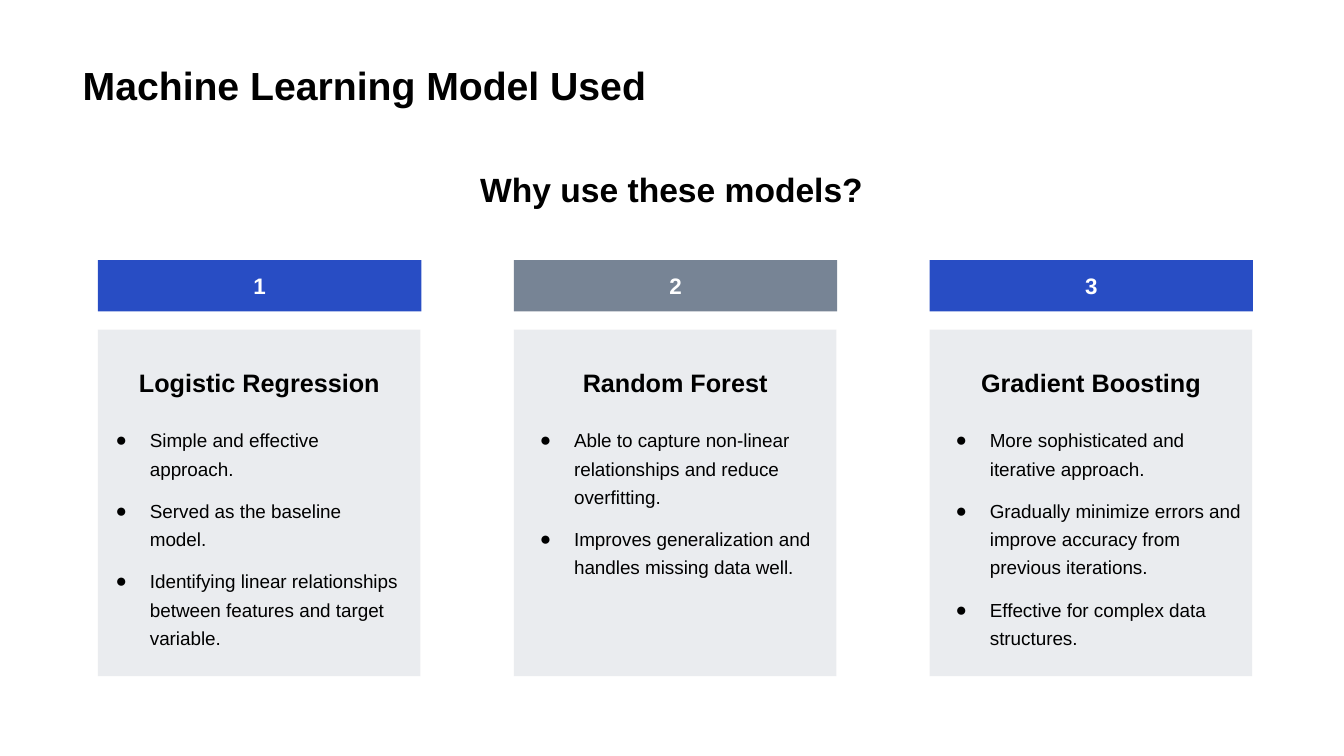
import pptx
import pptx.util
import pptx.dml.color
import pptx.enum.shapes
import pptx.enum.text
import pptx.oxml.ns
import lxml.etree

Pt = pptx.util.Pt
ALIGN = pptx.enum.text.PP_ALIGN
ANCHOR = pptx.enum.text.MSO_ANCHOR
qn = pptx.oxml.ns.qn

BLUE, GREY, BLACK, WHITE = "284DC4", "778495", "000000", "FFFFFF"


def rgb(value):
    return pptx.dml.color.RGBColor.from_string(value)


def apply(obj, formats):
    for name, value in formats.items():
        setattr(obj, name, value)


class Deck:
    font = "Arial"
    margins = {"margin_left": Pt(7.2), "margin_right": Pt(7.2),
               "margin_top": Pt(3.6), "margin_bottom": Pt(3.6)}

    def __init__(self, prs):
        self.s = prs.slides.add_slide(prs.slide_layouts[6])

    def fill_text(self, sp, lines, size, color=BLACK, bold=True, para=None, **frame):
        tf = sp.text_frame
        apply(tf, {"word_wrap": True, **self.margins, **frame})
        for i, line in enumerate(lines):
            p = tf.paragraphs[0] if i == 0 else tf.add_paragraph()
            apply(p, para or {})
            r = p.add_run()
            r.text = line
            apply(r.font, {"name": self.font, "size": Pt(size), "bold": bold})
            r.font.color.rgb = rgb(color)
        return tf

    def rect(self, x, y, w, h, fill, alpha=None):
        sp = self.s.shapes.add_shape(
            pptx.enum.shapes.MSO_SHAPE.RECTANGLE, Pt(x), Pt(y), Pt(w), Pt(h))
        sp.shadow.inherit = False
        sp.line.fill.background()
        sp.fill.solid()
        sp.fill.fore_color.rgb = rgb(fill)
        if alpha is not None:
            clr = sp._element.spPr.find(qn("a:solidFill")).find(qn("a:srgbClr"))
            lxml.etree.SubElement(clr, qn("a:alpha"), val=str(alpha * 1000))
        return sp

    def text(self, x, y, w, h, lines, size, **formats):
        sp = self.s.shapes.add_textbox(Pt(x), Pt(y), Pt(w), Pt(h))
        return self.fill_text(sp, lines, size, **formats)

    def bullets(self, x, y, w, h, lines, size):
        tf = self.text(x, y, w, h, lines, size, bold=False,
                       para={"line_spacing": 1.25})
        for i, p in enumerate(tf.paragraphs):
            if i:
                p.space_before = Pt(10)
            pPr = p._p.get_or_add_pPr()
            pPr.set("marL", str(Pt(36)))
            pPr.set("indent", str(Pt(-24.5)))
            clr = lxml.etree.SubElement(pPr, qn("a:buClr"))
            lxml.etree.SubElement(clr, qn("a:srgbClr"), val=BLACK)
            lxml.etree.SubElement(pPr, qn("a:buFont"), typeface=self.font)
            lxml.etree.SubElement(pPr, qn("a:buChar"), char="●")


# Heading, bar colour, shift of the list from the card, reasons
MODELS = [
    ("Logistic Regression", BLUE, -6,
     ["Simple and effective approach.",
      "Served as the baseline model.",
      "Identifying linear relationships between features and target variable."]),
    ("Random Forest", GREY, 0,
     ["Able to capture non-linear relationships and reduce overfitting.",
      "Improves generalization and handles missing data well."]),
    ("Gradient Boosting", BLUE, 0,
     ["More sophisticated and iterative approach.",
      "Gradually minimize errors and improve accuracy from previous iterations.",
      "Effective for complex data structures."]),
]
LEFT, PITCH = 70, 297
CENTER = {"alignment": ALIGN.CENTER}


def main():
    prs = pptx.Presentation()
    apply(prs, {"slide_width": Pt(960), "slide_height": Pt(540)})
    deck = Deck(prs)

    # Title and question
    deck.text(52, 10, 855.4, 70.6, ["Machine Learning Model Used"], 28,
              vertical_anchor=ANCHOR.BOTTOM)
    deck.text(52, 89.3, 855.4, 69.8, ["Why use these models?"], 24,
              para=CENTER, margin_top=Pt(31.2))

    # One column per model
    for i, (name, color, shift, reasons) in enumerate(MODELS):
        x = LEFT + i * PITCH
        bar = deck.rect(x, 185.8, 231, 36.7, color)
        deck.fill_text(bar, [str(i + 1)], 16, color=WHITE, para=CENTER,
                       vertical_anchor=ANCHOR.MIDDLE)
        deck.rect(x, 235.4, 230.4, 247.7, GREY, alpha=15)
        deck.text(x + 2.6, 243.4, 225.4, 43.9, [name], 18, para=CENTER,
                  vertical_anchor=ANCHOR.BOTTOM)
        deck.bullets(x + shift, 298.8, 230.4, 112.3, reasons, 13.5)

    prs.save("out.pptx")


if __name__ == "__main__":
    main()
